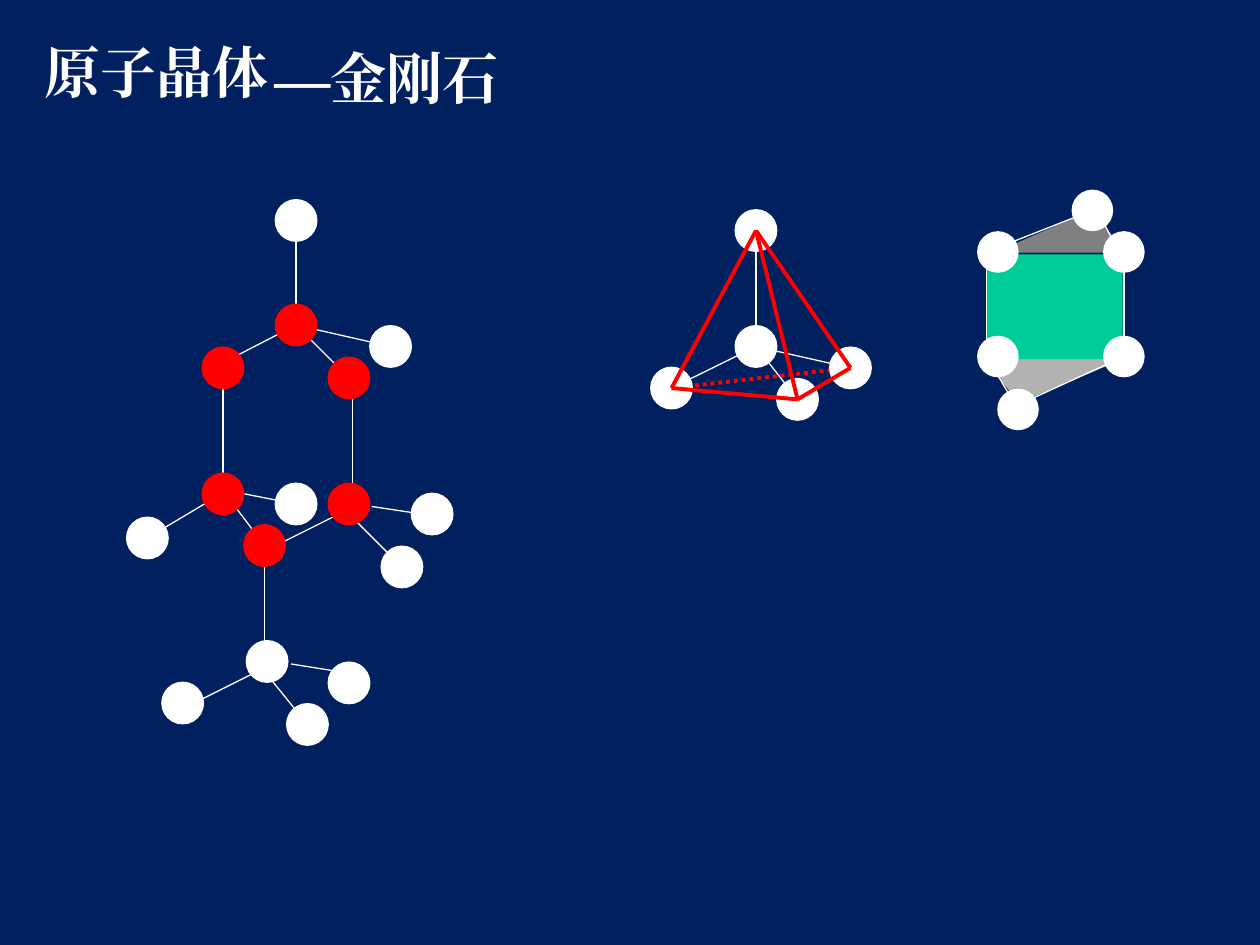
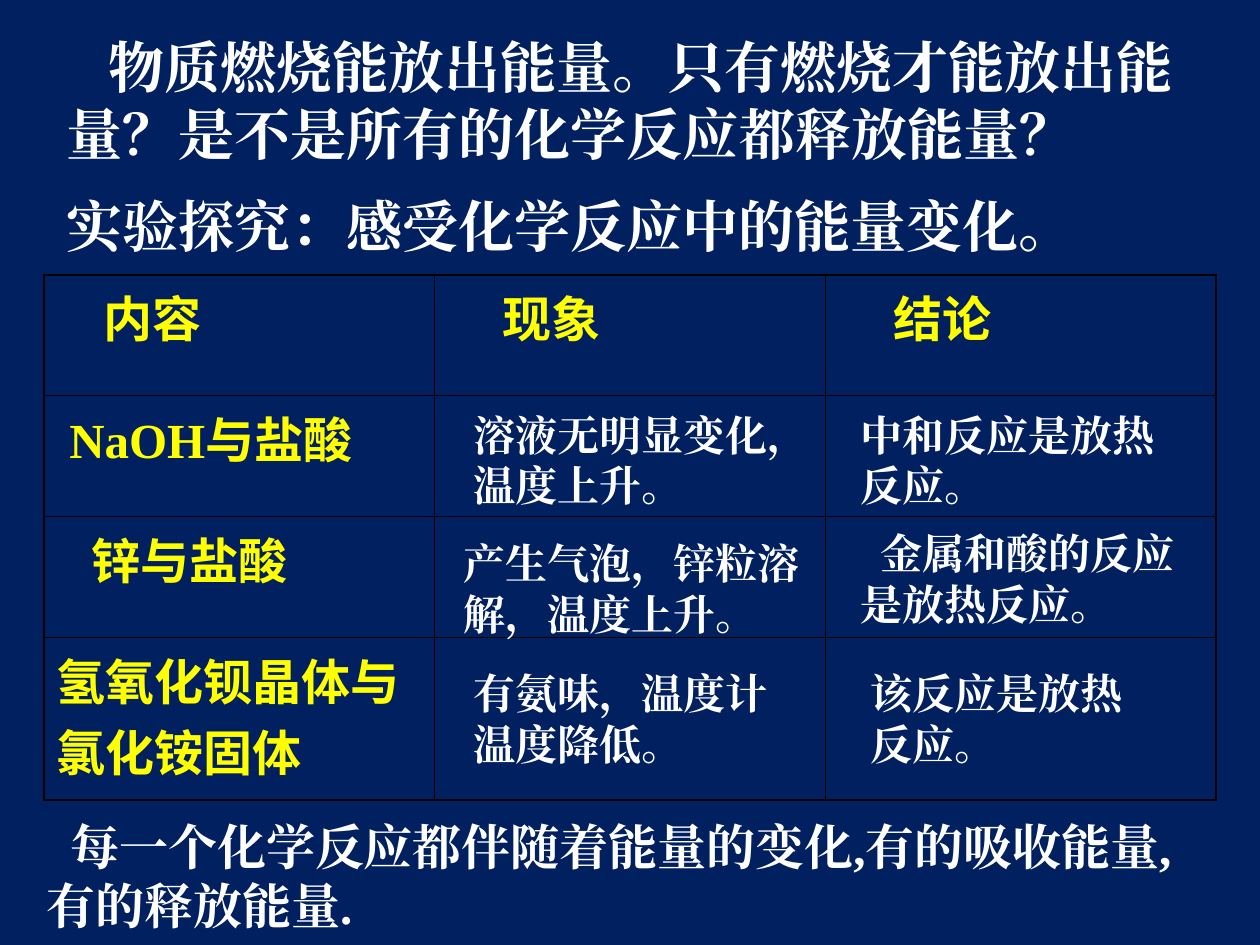
import pptx
import pptx.dml.color
import pptx.enum.dml
import pptx.enum.shapes
import pptx.enum.text
import pptx.oxml
import pptx.oxml.ns
import pptx.util

Inches = pptx.util.Inches
Pt = pptx.util.Pt
RGBColor = pptx.dml.color.RGBColor
ShapeType = pptx.enum.shapes.MSO_SHAPE
qn = pptx.oxml.ns.qn

NAVY = RGBColor(0x00, 0x20, 0x60)
WHITE = RGBColor(0xFF, 0xFF, 0xFF)
RED = RGBColor(0xFF, 0x00, 0x00)
YELLOW = RGBColor(0xFF, 0xFF, 0x00)
GREEN = RGBColor(0x00, 0xCC, 0x99)
DARK_GRAY = RGBColor(0x80, 0x80, 0x80)
LIGHT_GRAY = RGBColor(0xB2, 0xB2, 0xB2)

LATIN_FONT = "Times New Roman"
TABLE_FONT = "Noto Sans CJK SC"
TITLE_SIZE = 32
TABLE_SIZE = 28
RESULT_SIZE = 24
ATOM_SIZE = 0.33
THIN, THICK = 0.75, 2.25
OUTER_BORDER, INNER_BORDER = 1.08, 0.45


def write_text(text_frame, text, size, color=WHITE, indent=0, east_asian=LATIN_FONT):
    paragraph = text_frame.paragraphs[0]
    paragraph.alignment = pptx.enum.text.PP_ALIGN.LEFT
    paragraph_properties = paragraph._p.get_or_add_pPr()
    paragraph_properties.set("marL", "0")
    paragraph_properties.set("indent", str(Inches(indent)))
    run = paragraph.add_run()
    run.text = text
    run.font.size = Pt(size)
    run.font.bold = True
    run.font.color.rgb = color
    run.font.name = LATIN_FONT
    east_asian_font = run._r.get_or_add_rPr().makeelement(qn("a:ea"), {"typeface": east_asian})
    run._r.rPr.find(qn("a:latin")).addnext(east_asian_font)


def format_frame(text_frame):
    text_frame.word_wrap = True
    text_frame.auto_size = pptx.enum.text.MSO_AUTO_SIZE.NONE
    text_frame.vertical_anchor = pptx.enum.text.MSO_ANCHOR.TOP


def add_title(slide, box, text, indent=0):
    title = slide.shapes.title
    title.left, title.top, title.width, title.height = (Inches(length) for length in box)
    format_frame(title.text_frame)
    write_text(title.text_frame, text, TITLE_SIZE, indent=indent)


def add_text(slide, box, text, size, indent=0):
    shape = slide.shapes.add_textbox(*(Inches(length) for length in box))
    format_frame(shape.text_frame)
    write_text(shape.text_frame, text, size, indent=indent)


def paint(shape, fill, line=None):
    shape.shadow.inherit = False
    shape.fill.solid()
    shape.fill.fore_color.rgb = fill
    if line is None:
        shape.line.fill.background()
    else:
        shape.line.color.rgb = line
        shape.line.width = Pt(THIN)


def add_bonds(slide, origin, bonds, color=WHITE, width=THIN, dash=None):
    left, top = origin
    for start_x, start_y, end_x, end_y in bonds:
        connector = slide.shapes.add_connector(
            pptx.enum.shapes.MSO_CONNECTOR.STRAIGHT,
            Inches(left + start_x), Inches(top + start_y),
            Inches(left + end_x), Inches(top + end_y))
        connector.line.color.rgb = color
        connector.line.width = Pt(width)
        if dash is not None:
            connector.line.dash_style = dash
        shape_properties = connector._element.spPr
        shape_properties.append(shape_properties.makeelement(qn("a:effectLst"), {}))


def add_atoms(slide, origin, centers, color=WHITE, outlined=True):
    left, top = origin
    for x, y in centers:
        atom = slide.shapes.add_shape(
            ShapeType.OVAL,
            Inches(left + x - ATOM_SIZE / 2), Inches(top + y - ATOM_SIZE / 2),
            Inches(ATOM_SIZE), Inches(ATOM_SIZE))
        paint(atom, color, color if outlined else None)


def add_face(slide, origin, corners, color):
    left, top = origin
    points = [(Inches(left + x), Inches(top + y)) for x, y in corners]
    builder = slide.shapes.build_freeform(*points[0])
    builder.add_line_segments(points[1:], close=True)
    paint(builder.convert_to_shape(), color, color)


def draw_carbon_ring(slide, origin):
    add_bonds(slide, origin, [
        (1.35, 1, 1.35, 0.17), (1.35, 1.08, 1.77, 1.5),
        (1.35, 1.08, 0.69, 1.42), (1.35, 1.08, 2.1, 1.25),
        (0.77, 1.42, 0.77, 2.42), (0.69, 2.46, 0.27, 2.71),
        (0.94, 2.42, 1.35, 2.5), (0.85, 2.5, 1.1, 2.83),
        (1.8, 1.65, 1.8, 2.4), (1.95, 2.52, 2.35, 2.58),
        (1.77, 2.58, 2.19, 3), (1.69, 2.58, 1.19, 2.83),
        (1.1, 2.92, 1.1, 3.67), (1.31, 3.77, 1.69, 3.83),
        (1.1, 3.83, 1.44, 4.25), (1.04, 3.83, 0.54, 4.08),
    ])
    add_atoms(slide, origin, [
        (1.35, 0.25), (2.1, 1.25), (0.17, 2.77), (1.35, 2.5), (2.43, 2.58),
        (2.19, 3), (0.45, 4.08), (1.12, 3.75), (1.77, 3.92), (1.44, 4.25),
    ])
    add_atoms(slide, origin, [
        (1.77, 1.5), (0.77, 1.42), (1.35, 1.08),
        (0.77, 2.42), (1.1, 2.83), (1.77, 2.5),
    ], RED)


def draw_tetrahedron(slide, origin):
    apex, center = (0.83, 0.16), (0.83, 1.08)
    left_corner, front_corner, right_corner = (0.16, 1.41), (1.16, 1.5), (1.58, 1.25)
    corners = [apex, front_corner, left_corner, right_corner]
    add_bonds(slide, origin, [left_corner + right_corner], RED, THICK,
              pptx.enum.dml.MSO_LINE.ROUND_DOT)
    add_bonds(slide, origin, [center + corner for corner in corners])
    add_atoms(slide, origin, [center] + corners)
    edges = [apex + corner for corner in corners[1:]]
    edges += [left_corner + front_corner, right_corner + front_corner]
    add_bonds(slide, origin, edges, RED, THICK)


def draw_prism(slide, origin):
    left, top = origin
    add_face(slide, origin, [(0.17, 0.5), (0.92, 0.17), (1.17, 0.5)], DARK_GRAY)
    add_face(slide, origin, [(1.15, 1.35), (0.34, 1.69), (0.06, 1.35)], LIGHT_GRAY)
    middle_face = slide.shapes.add_shape(
        ShapeType.RECTANGLE, Inches(left + 0.08), Inches(top + 0.52),
        Inches(1.08), Inches(0.83))
    paint(middle_face, GREEN)
    add_bonds(slide, origin, [
        (1.17, 1.33, 1.17, 0.5), (1, 0.25, 1.17, 0.58),
        (0.92, 0.17, 0.08, 0.5), (0.08, 1.25, 0.08, 0.42),
        (0.08, 1.33, 0.33, 1.75), (1.17, 1.33, 0.25, 1.75),
    ])
    add_atoms(slide, origin, [
        (1.17, 1.33), (1.17, 0.5), (0.33, 1.75),
        (0.17, 0.5), (0.92, 0.17), (0.17, 1.33),
    ], outlined=False)


def set_borders(cell, row, column, last_row, last_column):
    outer_edges = {"L": column == 0, "R": column == last_column,
                   "T": row == 0, "B": row == last_row}
    cell_properties = cell._tc.get_or_add_tcPr()
    for edge, is_outer in outer_edges.items():
        width = Pt(OUTER_BORDER if is_outer else INNER_BORDER)
        cell_properties.append(pptx.oxml.parse_xml(
            f'<a:ln{edge} xmlns:a="http://schemas.openxmlformats.org/drawingml/2006/main" '
            f'w="{width}"><a:solidFill><a:srgbClr val="000000"/></a:solidFill></a:ln{edge}>'))


def add_experiment_table(slide, box):
    row_heights = [0.96, 0.96, 0.96, 1.29]
    labels = {
        (0, 0): ("内容", 0.37), (0, 1): ("现象", 0.44), (0, 2): ("结论", 0.44),
        (1, 0): ("NaOH与盐酸", 0.1), (2, 0): ("锌与盐酸", 0.28),
        (3, 0): ("氢氧化钡晶体与氯化铵固体", 0),
    }
    table = slide.shapes.add_table(len(row_heights), 3, *(Inches(length) for length in box)).table
    table.first_row = False
    table.horz_banding = False
    for column in table.columns:
        column.width = Inches(box[2] / 3)
    for row_index, height in enumerate(row_heights):
        table.rows[row_index].height = Inches(height)
        for column_index in range(3):
            cell = table.cell(row_index, column_index)
            set_borders(cell, row_index, column_index, len(row_heights) - 1, 2)
            cell.fill.background()
            if (row_index, column_index) in labels:
                text, indent = labels[row_index, column_index]
                write_text(cell.text_frame, text, TABLE_SIZE, YELLOW, indent, TABLE_FONT)


def add_results(slide, origin):
    left, top = origin
    results = [
        (0.08, 0, 2.68, "溶液无明显变化，温度上升。", 0),
        (3.15, 0, 2.68, "中和反应是放热反应。", 0),
        (0, 1.02, 2.91, "产生气泡，锌粒溶解，温度上升。", 0),
        (3.15, 0.94, 2.84, "金属和酸的反应是放热反应。", 0.16),
        (0.08, 2.05, 2.68, "有氨味，温度计温度降低。", 0),
        (3.23, 2.05, 2.52, "该反应是放热反应。", 0),
    ]
    for x, y, width, text, indent in results:
        add_text(slide, (left + x, top + y, width, 0.9), text, RESULT_SIZE, indent)


def build_diamond_slide(slide):
    add_title(slide, (0.25, 0.25, 2.17, 0.64), "原子晶体")
    add_text(slide, (2.08, 0.3, 2.08, 0.64), "—金刚石", TITLE_SIZE)
    draw_carbon_ring(slide, (1, 1.5))
    draw_tetrahedron(slide, (5.17, 1.67))
    draw_prism(slide, (7.75, 1.5))


def build_energy_slide(slide):
    add_title(slide, (0.43, 0.21, 9.29, 1.17),
              "物质燃烧能放出能量。只有燃烧才能放出能量？是不是所有的化学反应都释放能量？", 0.33)
    add_text(slide, (0.43, 1.47, 9.06, 0.64),
             "实验探究：感受化学反应中的能量变化。", TITLE_SIZE)
    add_experiment_table(slide, (0.35, 2.18, 9.3, 4.17))
    add_results(slide, (3.58, 3.2))
    add_text(slide, (0.27, 6.43, 9.29, 1.04),
             "每一个化学反应都伴随着能量的变化,有的吸收能量,有的释放能量.", TABLE_SIZE, 0.19)


def main():
    presentation = pptx.Presentation()
    presentation.slide_width = Inches(10)
    presentation.slide_height = Inches(7.5)
    background = presentation.slide_master.background.fill
    background.solid()
    background.fore_color.rgb = NAVY
    for build_slide in (build_diamond_slide, build_energy_slide):
        build_slide(presentation.slides.add_slide(presentation.slide_layouts[5]))
    presentation.save("out.pptx")


if __name__ == "__main__":
    main()
